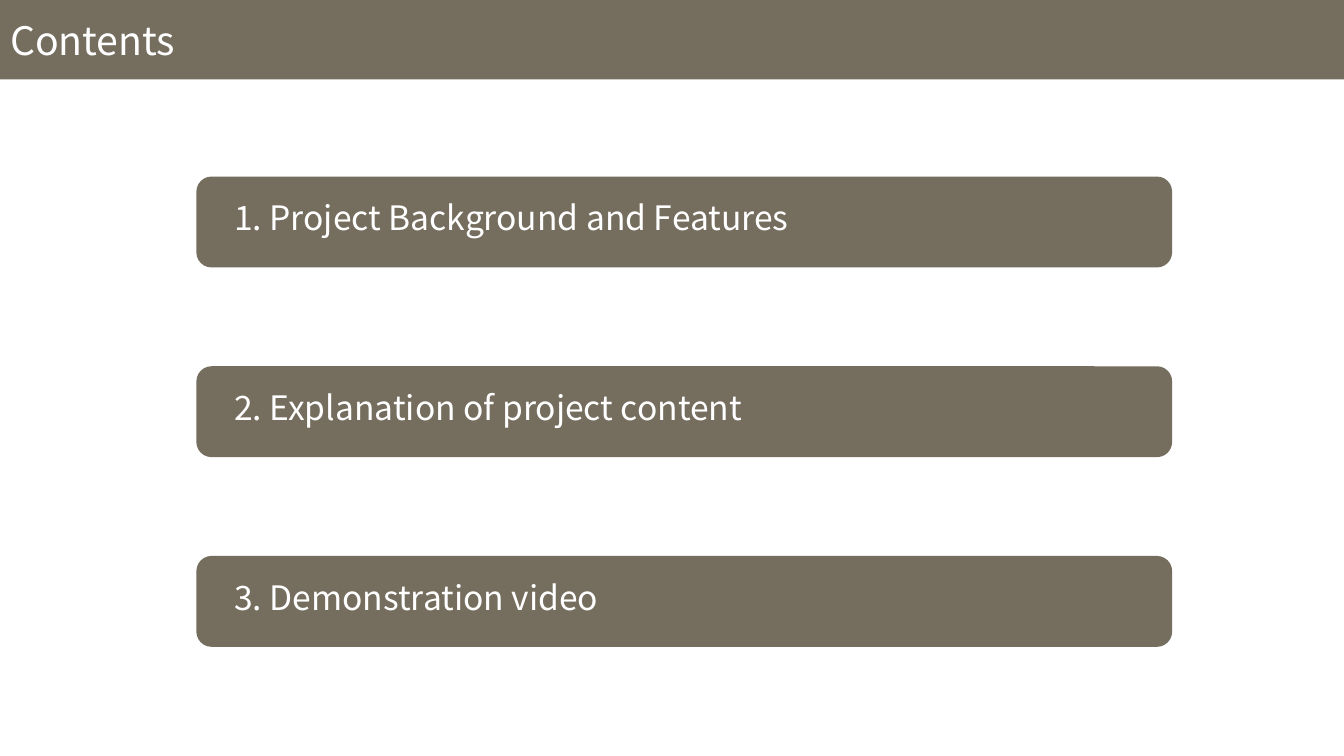
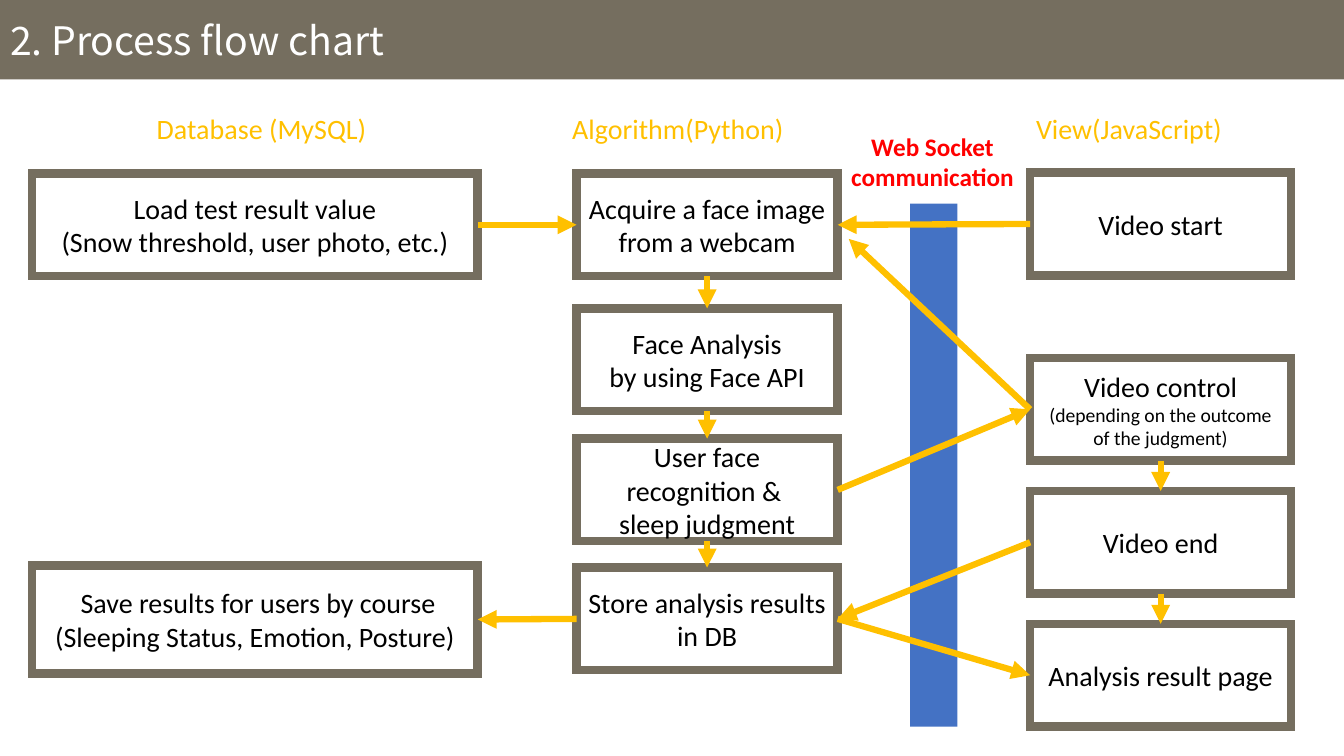
from pptx import Presentation
from pptx.dml.color import RGBColor
from pptx.enum.shapes import MSO_CONNECTOR, MSO_SHAPE
from pptx.enum.text import MSO_ANCHOR, MSO_AUTO_SIZE, PP_ALIGN
from pptx.oxml.ns import qn
from pptx.util import Cm, Pt
from lxml import etree

TAUPE = RGBColor(0x75, 0x6E, 0x5F)
GOLD = RGBColor(0xFF, 0xC0, 0x00)
BLUE = RGBColor(0x44, 0x72, 0xC4)
RED = RGBColor(0xFF, 0x00, 0x00)
BLACK = RGBColor(0x00, 0x00, 0x00)
WHITE = RGBColor(0xFF, 0xFF, 0xFF)

RECT, ROUND = MSO_SHAPE.RECTANGLE, MSO_SHAPE.ROUNDED_RECTANGLE
STRAIGHT = MSO_CONNECTOR.STRAIGHT
LEFT, CENTER = PP_ALIGN.LEFT, PP_ALIGN.CENTER
MIDDLE = MSO_ANCHOR.MIDDLE
FIXED = MSO_AUTO_SIZE.NONE

HEAD_FONT, BODY_FONT = "Noto Sans CJK KR", "Calibri"
WIDE, HIGH = 33.87, 19.05
TITLE_ONLY = 5

# Connection sites of a rectangle
TOP, WEST, BASE, EAST = range(4)


class Deck:
    """Holds the shared style and the slide being built."""

    def __init__(self):
        self.prs = Presentation()
        self.prs.slide_width, self.prs.slide_height = Cm(WIDE), Cm(HIGH)
        self.slide = None

    def page(self, title):
        """Start a slide whose title fills the band at the top."""
        self.slide = self.prs.slides.add_slide(self.prs.slide_layouts[TITLE_ONLY])
        band = self.slide.shapes.title
        band.left, band.top = Cm(0), Cm(0)
        band.width, band.height = Cm(WIDE), Cm(2)
        band.fill.solid()
        band.fill.fore_color.rgb = TAUPE
        self.text(band, [title], 28, WHITE, HEAD_FONT, LEFT)

    def text(self, shape, lines, size, color, font=BODY_FONT, align=CENTER, bold=False):
        """Fill a shape with lines, each a text or a (text, size) pair."""
        frame = shape.text_frame
        frame.word_wrap, frame.auto_size = True, FIXED
        frame.vertical_anchor = MIDDLE
        for i, line in enumerate(lines):
            words, points = (line, size) if isinstance(line, str) else line
            para = frame.add_paragraph() if i else frame.paragraphs[0]
            para.alignment = align
            run = para.add_run()
            run.text = words
            run.font.name, run.font.size = font, Pt(points)
            run.font.color.rgb, run.font.bold = color, bold
        return frame

    def block(self, kind, spot, fill):
        """Add a filled shape without outline or shadow."""
        shape = self.slide.shapes.add_shape(kind, *map(Cm, spot))
        shape.shadow.inherit = False
        shape.fill.solid()
        shape.fill.fore_color.rgb = fill
        shape.line.fill.background()
        return shape

    def bar(self, top, item):
        shape = self.block(ROUND, (4.95, top, 24.59, 2.29), TAUPE)
        frame = self.text(shape, [item], 24, WHITE, HEAD_FONT, LEFT)
        frame.margin_left = frame.margin_right = Cm(0.84)
        frame.margin_top, frame.margin_bottom = Cm(0), Cm(0.1)
        frame.paragraphs[0].line_spacing = 0.9

    def stroke(self, shape, color, width):
        """Draw a line with sharp corners and return its XML."""
        shape.line.color.rgb, shape.line.width = color, Pt(width)
        ln = shape.element.spPr.find(qn("a:ln"))
        etree.SubElement(ln, qn("a:miter"), lim="800000")
        return ln

    def box(self, spot, lines):
        """Add an outlined step of the flow."""
        shape = self.slide.shapes.add_shape(RECT, *map(Cm, spot))
        shape.shadow.inherit = False
        shape.fill.background()
        self.stroke(shape, TAUPE, 6)
        self.text(shape, lines, 20, BLACK)
        return shape

    def label(self, spot, lines, size, color, align=LEFT, bold=False):
        shape = self.slide.shapes.add_textbox(*map(Cm, spot))
        self.text(shape, lines, size, color, align=align, bold=bold)

    def arrow(self, start, side, goal, end=None):
        """Link two boxes, or a box and a free (x, y) point if end is None."""
        tip = goal if end is None else (0, 0)
        line = self.slide.shapes.add_connector(STRAIGHT, 0, 0, *map(Cm, tip))
        line.begin_connect(start, side)
        if end is not None:
            line.end_connect(goal, end)
        ln = self.stroke(line, GOLD, 4.5)
        etree.SubElement(ln, qn("a:tailEnd"), type="triangle")
        etree.SubElement(line.element.spPr, qn("a:effectLst"))


def contents(deck):
    deck.page("Contents")
    items = ("1. Project Background and Features",
             "2. Explanation of project content",
             "3. Demonstration video")
    for i, item in enumerate(items):
        deck.bar(4.45 + i * 4.78, item)


def flow(deck):
    deck.page("2. Process flow chart")
    deck.block(RECT, (22.94, 5.13, 1.19, 13.18), BLUE)

    def column(left, width, steps):
        return [deck.box((left, top, width, tall), lines) for top, tall, lines in steps]

    tall = 2.59
    load, save = column(0.81, 11.23, [
        (4.37, tall, ["Load test result value", "(Snow threshold, user photo, etc.)"]),
        (14.25, 2.72, [" Save results for users by course",
                       "(Sleeping Status, Emotion, Posture)"]),
    ])
    algo = column(14.53, 6.58, [
        (4.37, tall, ["Acquire a face image from a webcam"]),
        (7.77, tall, ["Face Analysis", "by using Face API"]),
        (11.05, tall, ["User face recognition & ", "sleep judgment"]),
        (14.3, tall, ["Store analysis results in DB"]),
    ])
    view = column(25.96, 6.58, [
        (4.35, tall, ["Video start"]),
        (9.02, tall, ["Video control", ("(depending on the outcome of the judgment)", 14)]),
        (12.37, tall, ["Video end"]),
        (15.72, tall, ["Analysis result page"]),
    ])
    grab, _, judge, store = algo
    start, control, finish, result = view

    for chain in (algo, view[1:]):
        for upper, lower in zip(chain, chain[1:]):
            deck.arrow(upper, BASE, lower, TOP)
    for link in ((load, EAST, grab, WEST), (store, WEST, save, EAST),
                 (start, WEST, grab, EAST), (judge, EAST, control, WEST),
                 (finish, WEST, store, EAST), (store, EAST, result, WEST)):
        deck.arrow(*link)
    deck.arrow(control, WEST, (21.39, 6.02))

    for left, name in ((3.7, "Database (MySQL)"), (14.17, "Algorithm(Python)"),
                       (25.86, "View(JavaScript)")):
        deck.label((left, 2.66, 6.1, 1.14), [name], 20, GOLD)
    deck.label((21.1, 3.15, 4.8, 1.85), ["Web Socket", "communication"],
               18, RED, CENTER, True)


def main():
    deck = Deck()
    contents(deck)
    flow(deck)
    deck.prs.save("out.pptx")


if __name__ == "__main__":
    main()
